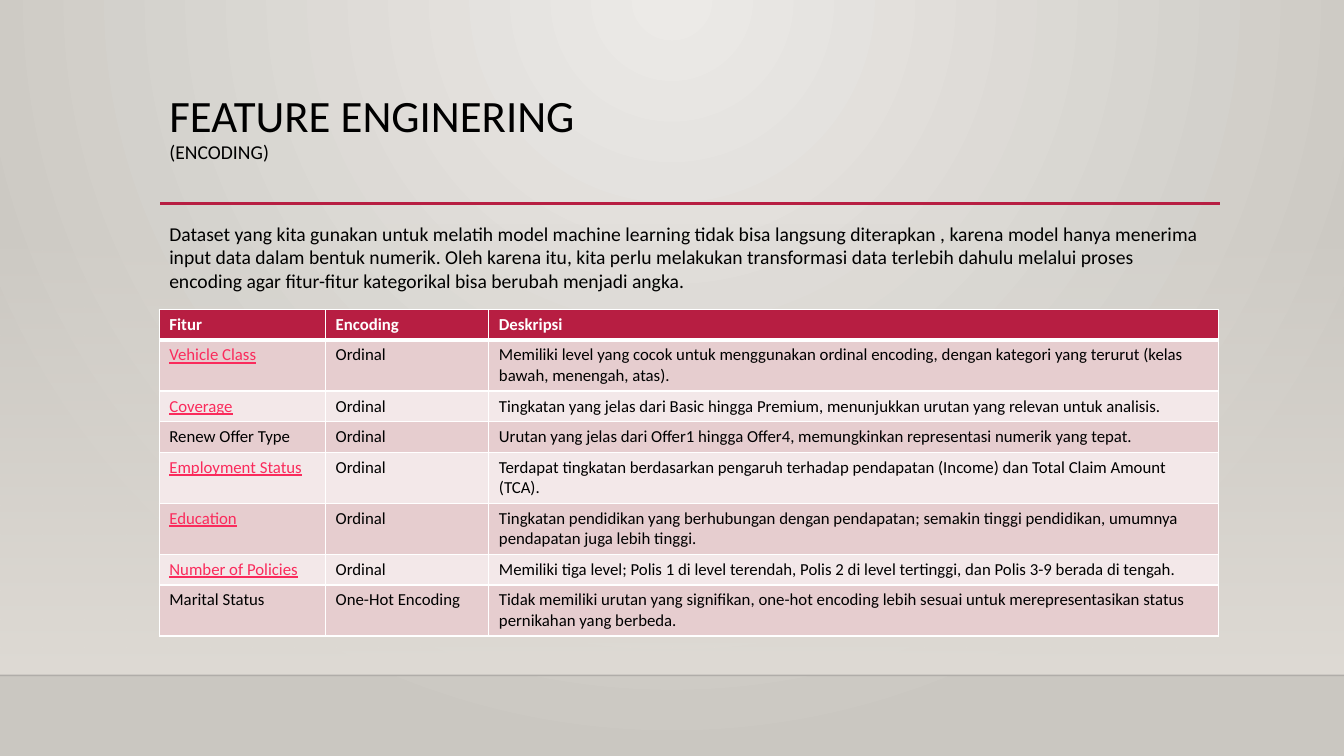
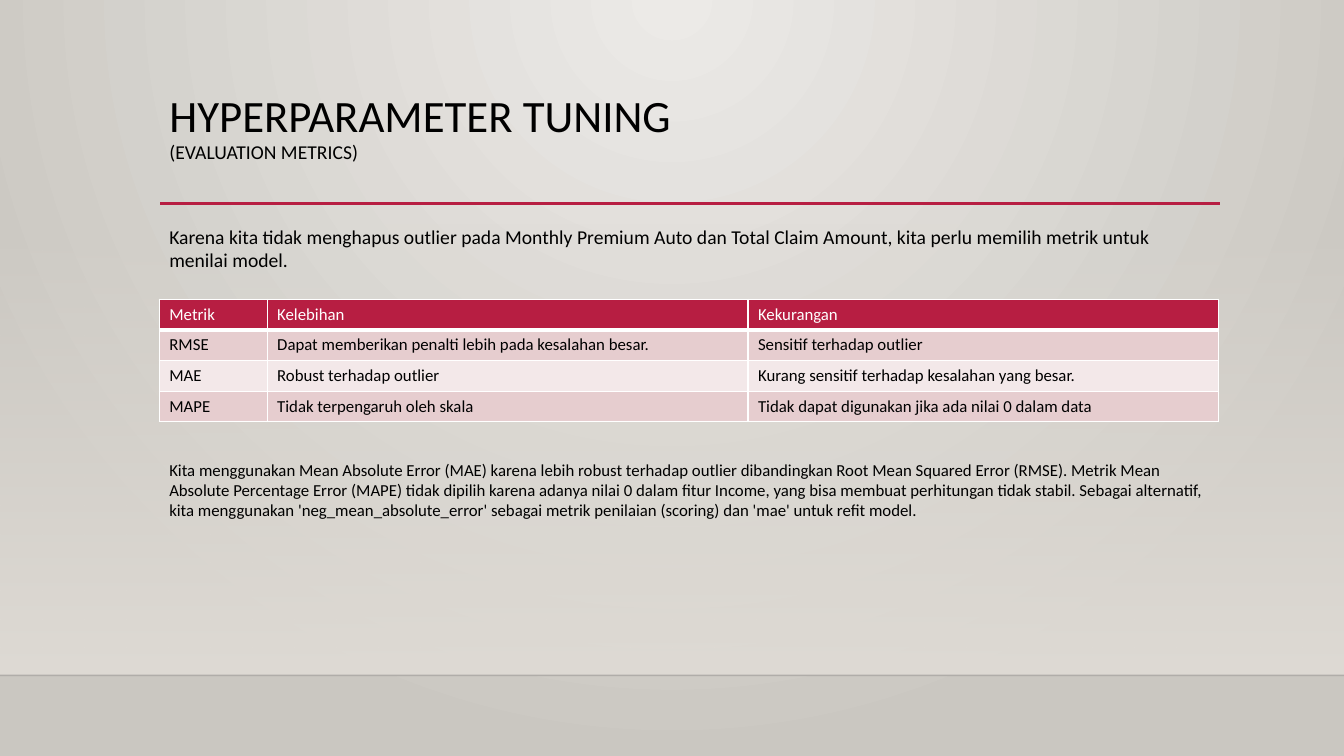
from dataclasses import dataclass

from lxml import etree
from pptx import Presentation
from pptx.dml.color import RGBColor
from pptx.enum.shapes import MSO_CONNECTOR, MSO_SHAPE
from pptx.enum.text import MSO_ANCHOR, MSO_AUTO_SIZE, PP_ALIGN
from pptx.oxml.ns import qn
from pptx.util import Pt

STRAIGHT = MSO_CONNECTOR.STRAIGHT
RECTANGLE = MSO_SHAPE.RECTANGLE
TOP = MSO_ANCHOR.TOP
LEFT_ALIGNED = PP_ALIGN.LEFT
NO_AUTOFIT = MSO_AUTO_SIZE.NONE
GROW = MSO_AUTO_SIZE.SHAPE_TO_FIT_TEXT

COLORS = {
    "text": "000000",
    "white": "FFFFFF",
    "accent": "B71E42",
    "link": "FA2B5C",
    "band_dark": "E6CDCF",
    "band_light": "F3E8E9",
    "glow": "ECEAE7",
    "edge": "CAC7C1",
    "wall": "DFDBD5",
    "floor": "000001",
}
FONT = "Calibri"
TITLE_ONLY = 5

# Geometry in points
SLIDE_WIDTH, SLIDE_HEIGHT = 960, 540
CONTENT_LEFT, CONTENT_WIDTH = 113.8, 756.7
TITLE_TOP, TITLE_HEIGHT = 63.4, 83.5
RULE_LEFT, RULE_RIGHT, RULE_Y = 114.5, 871.2, 145.4
WALL_TOP, FLOOR_Y = 159.1, 482.4
ROW_HEIGHT = 21.8


@dataclass(frozen=True)
class Note:
    text: str
    top: float
    height: float
    size: float


@dataclass(frozen=True)
class TableSpec:
    top: float
    column_widths: tuple[float, ...]
    rows: tuple[tuple[str, ...], ...]
    bold_header: bool = False
    links: frozenset[str] = frozenset()


@dataclass(frozen=True)
class SlideSpec:
    title: str
    subtitle: str
    notes: tuple[Note, ...]
    table: TableSpec


SLIDES = (
    SlideSpec(
        "FEATURE ENGINERING",
        "(ENCODING)",
        (
            Note(
                "Dataset yang kita gunakan untuk melatih model machine learning tidak bisa "
                "langsung diterapkan , karena model hanya menerima input data dalam bentuk "
                "numerik. Oleh karena itu, kita perlu melakukan transformasi data terlebih "
                "dahulu melalui proses encoding agar fitur-fitur kategorikal bisa berubah "
                "menjadi angka.",
                top=154.8, height=58.3, size=14,
            ),
        ),
        TableSpec(
            top=221,
            column_widths=(118.8, 116.6, 521.3),
            bold_header=True,
            links=frozenset(
                ("Vehicle Class", "Coverage", "Employment Status", "Education",
                 "Number of Policies")
            ),
            rows=(
                ("Fitur", "Encoding", "Deskripsi"),
                ("Vehicle Class", "Ordinal",
                 "Memiliki level yang cocok untuk menggunakan ordinal encoding, dengan "
                 "kategori yang terurut (kelas bawah, menengah, atas)."),
                ("Coverage", "Ordinal",
                 "Tingkatan yang jelas dari Basic hingga Premium, menunjukkan urutan yang "
                 "relevan untuk analisis."),
                ("Renew Offer Type", "Ordinal",
                 "Urutan yang jelas dari Offer1 hingga Offer4, memungkinkan representasi "
                 "numerik yang tepat."),
                ("Employment Status", "Ordinal",
                 "Terdapat tingkatan berdasarkan pengaruh terhadap pendapatan (Income) dan "
                 "Total Claim Amount (TCA)."),
                ("Education", "Ordinal",
                 "Tingkatan pendidikan yang berhubungan dengan pendapatan; semakin tinggi "
                 "pendidikan, umumnya pendapatan juga lebih tinggi."),
                ("Number of Policies", "Ordinal",
                 "Memiliki tiga level; Polis 1 di level terendah, Polis 2 di level "
                 "tertinggi, dan Polis 3-9 berada di tengah."),
                ("Marital Status", "One-Hot Encoding",
                 "Tidak memiliki urutan yang signifikan, one-hot encoding lebih sesuai untuk "
                 "merepresentasikan status pernikahan yang berbeda."),
            ),
        ),
    ),
    SlideSpec(
        "HYPERPARAMETER TUNING",
        "(EVALUATION METRICS)",
        (
            Note(
                "Karena kita tidak menghapus outlier pada Monthly Premium Auto dan Total "
                "Claim Amount, kita perlu memilih metrik untuk menilai model.",
                top=157, height=41, size=14,
            ),
            Note(
                "Kita menggunakan Mean Absolute Error (MAE) karena lebih robust terhadap "
                "outlier dibandingkan Root Mean Squared Error (RMSE). Metrik Mean Absolute "
                "Percentage Error (MAPE) tidak dipilih karena adanya nilai 0 dalam fitur "
                "Income, yang bisa membuat perhitungan tidak stabil. Sebagai alternatif, "
                "kita menggunakan 'neg_mean_absolute_error' sebagai metrik penilaian "
                "(scoring) dan 'mae' untuk refit model.",
                top=324.7, height=51, size=12,
            ),
        ),
        TableSpec(
            top=213.8,
            column_widths=(77, 343.5, 336.2),
            rows=(
                ("Metrik", "Kelebihan", "Kekurangan"),
                ("RMSE", "Dapat memberikan penalti lebih pada kesalahan besar.",
                 "Sensitif terhadap outlier"),
                ("MAE", "Robust terhadap outlier",
                 "Kurang sensitif terhadap kesalahan yang besar."),
                ("MAPE", "Tidak terpengaruh oleh skala",
                 "Tidak dapat digunakan jika ada nilai 0 dalam data"),
            ),
        ),
    ),
)


def rgb(name: str) -> RGBColor:
    return RGBColor.from_string(COLORS[name])


def add_text(paragraph, text: str, *, size: float, color: str = "text",
             bold: bool = False, underline: bool = False) -> None:
    run = paragraph.add_run()
    run.text = text
    font = run.font
    font.name, font.size = FONT, Pt(size)
    font.bold, font.underline = bold, underline
    font.color.rgb = rgb(color)


def set_gradient(fill, start: str, end: str) -> None:
    fill.gradient()
    for stop, position, name in zip(fill.gradient_stops, (0, 1), (start, end)):
        stop.position = position
        stop.color.rgb = rgb(name)


def set_alpha(color_element, percent: int) -> None:
    etree.SubElement(color_element, qn("a:alpha"), val=str(percent * 1000))


def set_background(master) -> None:
    """Radial glow from the top centre, shared by all slides."""
    set_gradient(master.background.fill, "glow", "edge")
    gradient = next(master.element.iter(qn("a:gradFill")))
    gradient.remove(gradient.find(qn("a:lin")))
    circle = etree.SubElement(gradient, qn("a:path"), path="circle")
    etree.SubElement(circle, qn("a:fillToRect"), l="43000", t="0", r="43000", b="100000")


def add_line(slide, left: float, right: float, y: float, color: str, width: float):
    line = slide.shapes.add_connector(STRAIGHT, Pt(left), Pt(y), Pt(right), Pt(y))
    line.line.color.rgb = rgb(color)
    line.line.width = Pt(width)
    etree.SubElement(line._element.spPr, qn("a:effectLst"))
    return line


def add_backdrop(slide) -> None:
    # Wall fading in towards the floor
    wall = slide.shapes.add_shape(
        RECTANGLE, 0, Pt(WALL_TOP), Pt(SLIDE_WIDTH), Pt(FLOOR_Y - WALL_TOP))
    wall.shadow.inherit = False
    wall.line.fill.background()
    set_gradient(wall.fill, "wall", "wall")
    wall.fill.gradient_angle = 270
    set_alpha(next(wall._element.iter(qn("a:srgbClr"))), 0)

    # Floor edge and title rule
    floor = add_line(slide, 0, SLIDE_WIDTH, FLOOR_Y, "floor", 1)
    set_alpha(next(floor._element.iter(qn("a:srgbClr"))), 20)
    add_line(slide, RULE_LEFT, RULE_RIGHT, RULE_Y, "accent", 2.5)


def format_title(slide, title: str, subtitle: str) -> None:
    shape = slide.shapes.title
    shape.left, shape.top = Pt(CONTENT_LEFT), Pt(TITLE_TOP)
    shape.width, shape.height = Pt(CONTENT_WIDTH), Pt(TITLE_HEIGHT)
    frame = shape.text_frame
    frame.auto_size, frame.vertical_anchor = NO_AUTOFIT, TOP
    paragraph = frame.paragraphs[0]
    paragraph.alignment, paragraph.line_spacing = LEFT_ALIGNED, 0.9
    add_text(paragraph, title, size=32)
    paragraph.add_line_break()
    line_break = paragraph._p.find(qn("a:br"))
    etree.SubElement(line_break, qn("a:rPr"), sz="3200")
    add_text(paragraph, subtitle, size=14)


def add_note(slide, note: Note) -> None:
    box = slide.shapes.add_textbox(
        Pt(CONTENT_LEFT), Pt(note.top), Pt(CONTENT_WIDTH), Pt(note.height))
    box.text_frame.word_wrap = True
    box.text_frame.auto_size = GROW
    add_text(box.text_frame.paragraphs[0], note.text, size=note.size)


def set_borders(cell, top: float, bottom: float) -> None:
    properties = cell._tc.get_or_add_tcPr()
    for side, width in (("L", 1), ("R", 1), ("T", top), ("B", bottom)):
        border = etree.SubElement(properties, qn(f"a:ln{side}"), w=str(int(Pt(width))))
        fill = etree.SubElement(border, qn("a:solidFill"))
        etree.SubElement(fill, qn("a:srgbClr"), val=COLORS["white"])


def add_table(slide, spec: TableSpec) -> None:
    table = slide.shapes.add_table(
        len(spec.rows), len(spec.column_widths), Pt(CONTENT_LEFT), Pt(spec.top),
        Pt(CONTENT_WIDTH), Pt(ROW_HEIGHT * len(spec.rows))).table
    for column, width in zip(table.columns, spec.column_widths):
        column.width = Pt(width)
    for row_index, texts in enumerate(spec.rows):
        table.rows[row_index].height = Pt(ROW_HEIGHT)
        header = row_index == 0
        band = "accent" if header else ("band_light", "band_dark")[row_index % 2]
        for column_index, text in enumerate(texts):
            cell = table.cell(row_index, column_index)
            set_borders(cell, top=3 if row_index == 1 else 1, bottom=3 if header else 1)
            cell.fill.solid()
            cell.fill.fore_color.rgb = rgb(band)
            link = text in spec.links
            color = "white" if header else "link" if link else "text"
            add_text(cell.text_frame.paragraphs[0], text, size=12, color=color,
                     bold=header and spec.bold_header, underline=link)


def main() -> None:
    presentation = Presentation()
    presentation.slide_width, presentation.slide_height = Pt(SLIDE_WIDTH), Pt(SLIDE_HEIGHT)
    set_background(presentation.slide_master)
    for spec in SLIDES:
        slide = presentation.slides.add_slide(presentation.slide_layouts[TITLE_ONLY])
        add_backdrop(slide)
        format_title(slide, spec.title, spec.subtitle)
        add_table(slide, spec.table)
        for note in spec.notes:
            add_note(slide, note)
    presentation.save("out.pptx")


if __name__ == "__main__":
    main()
